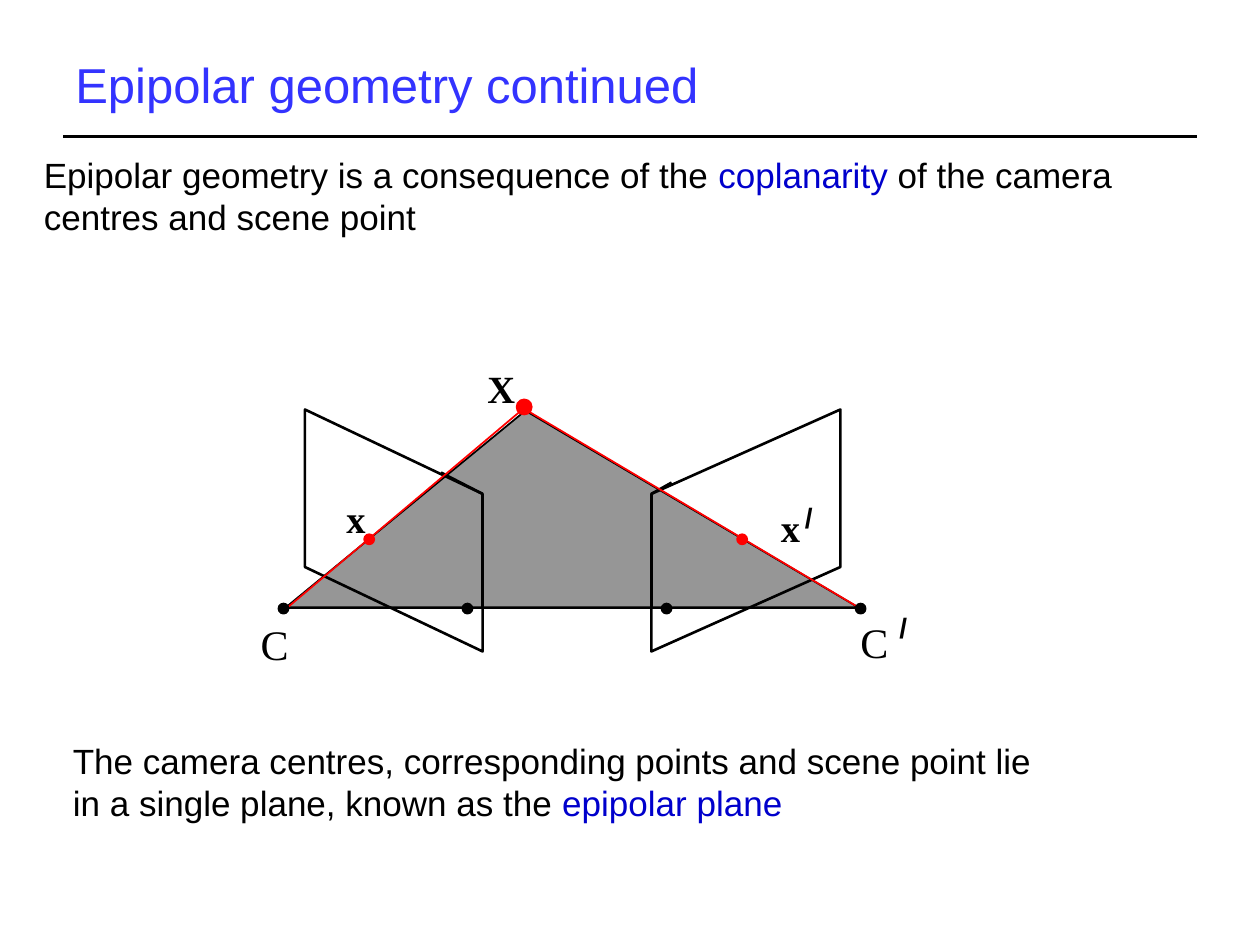
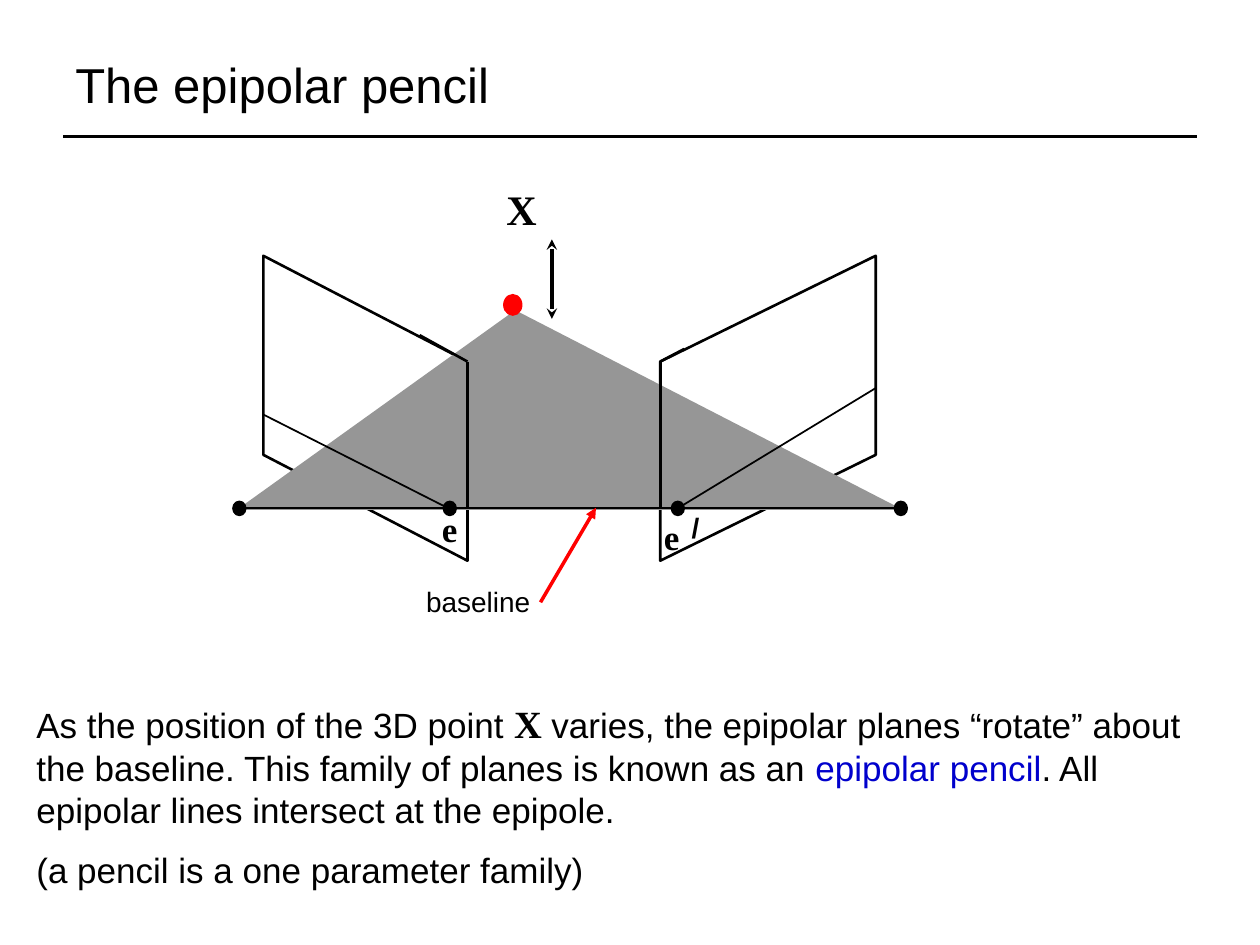
"""Builds two slides on epipolar geometry, placed on a grid of 100 columns by 75 rows."""
import dataclasses

import lxml.etree
import pptx
import pptx.dml.color
import pptx.enum.shapes
import pptx.enum.text
import pptx.oxml.ns
import pptx.util


@dataclasses.dataclass(frozen=True)
class Theme:
    black: str = "000000"
    grey: str = "969696"
    red: str = "FF0000"
    title_blue: str = "3333FF"
    term_blue: str = "0000CC"
    sans: str = "Arial"
    serif: str = "Times New Roman"
    title: int = 28
    body: int = 20
    small: int = 16
    epipole: int = 20
    point: int = 22
    centre: int = 24
    gap: int = 10
    thin: float = 1
    plane: float = 1.5
    rule: float = 1.75
    arrow: float = 2


theme = Theme()
title = {"name": theme.sans, "size": theme.title}
body = {"name": theme.sans, "size": theme.body}
term = {**body, "ink": theme.term_blue}
caption = {"name": theme.sans, "size": theme.small}
prime = {**caption, "bold": True}
camera = {"name": theme.serif, "size": theme.centre}
point = {"name": theme.serif, "size": theme.point, "bold": True}
big_point = {**point, "size": theme.centre}
epipole = {**point, "size": theme.epipole}

deck = pptx.Presentation()
deck.slide_width, deck.slide_height = pptx.util.Inches(10), pptx.util.Inches(7.5)
COLUMN, ROW = deck.slide_width / 100, deck.slide_height / 75
LEFT = pptx.enum.text.PP_ALIGN.LEFT
CENTER = pptx.enum.text.PP_ALIGN.CENTER
TOP = pptx.enum.text.MSO_ANCHOR.TOP
MIDDLE = pptx.enum.text.MSO_ANCHOR.MIDDLE


def place(*lengths):
    """Turn alternating columns and rows into slide units."""
    return [round(length * (ROW if index % 2 else COLUMN)) for index, length in enumerate(lengths)]


def write(page, at, paragraphs, align=LEFT, anchor=TOP):
    """Add a text box of paragraphs, each a list of (text, format) pairs."""
    box = page.shapes.add_textbox(*place(*at))
    for name, value in {"word_wrap": True, "vertical_anchor": anchor}.items():
        setattr(box.text_frame, name, value)
    for index, spans in enumerate(paragraphs):
        para = box.text_frame.add_paragraph() if index else box.text_frame.paragraphs[0]
        para.alignment = align
        para.space_before = pptx.util.Pt(theme.gap if index else 0)
        for text, look in spans:
            span = para.add_run()
            span.text = text
            values = {"name": look["name"], "size": pptx.util.Pt(look["size"]), "bold": look.get("bold", False)}
            for name, value in values.items():
                setattr(span.font, name, value)
            span.font.color.rgb = pptx.dml.color.RGBColor.from_string(look.get("ink", theme.black))


scenes = [
    {
        "title": ("Epipolar geometry continued", theme.title_blue),
        "triangle": ([(22.7, 48.2), (68.1, 48.2), (41.7, 32.6)], theme.black),
        "triangle_first": True,
        "planes": [(24.2, 38.3, 32.5, 39.2, 12.5, (35, 37.5)),
                   (66.7, 51.7, 32.5, 39.2, 12.5, (53.3, 38.3))],
        "baseline": (22.5, 68.3, 48.3),
        "dots": [(x, 48.3, 0.8, 0.8, theme.black) for x in (22.5, 37.1, 52.9, 68.3)]
                + [(x, 42.8, 0.8, 0.8, theme.red) for x in (29.3, 58.9)]
                + [(41.6, 32.3, 1.2, 1.2, theme.red)],
        "lines": [(41.7, 32.5, 68.3, 48.3, theme.red, theme.thin, {}),
                  (41.7, 32.3, 22.6, 48.4, theme.red, theme.thin, {})],
        "texts": [
            ((2.5, 11.7, 90, 10.8), [[
                ("Epipolar geometry is a consequence of the ", body), ("coplanarity ", term),
                ("of the camera centres and scene point", body)]]),
            ((26.5, 38.8, 3.3, 4.7), [[("x", point)]]),
            ((61, 39.5, 3.3, 4.7), [[("x", point)]]),
            ((62.9, 39.2, 5.8, 3.7), [[("/", prime)]]),
            ((37.7, 28.5, 4, 4.7), [[("X", point)]]),
            ((19.7, 48.6, 4.9, 5), [[("C", camera)]]),
            ((67.3, 48.4, 4.9, 5), [[("C", camera)]]),
            ((70.4, 48, 5.8, 3.7), [[("/", prime)]]),
            ((4.8, 58.2, 78.9, 7.7), [[
                ("The camera centres, corresponding points and scene point lie in a single plane, known as the ", body),
                ("epipolar plane", term)]]),
        ],
    },
    {
        "title": ("The epipolar pencil", theme.black),
        "triangle": ([(19, 40.4), (71.4, 40.4), (40.9, 24.7)], theme.grey),
        "triangle_first": False,
        "planes": [(20.9, 37.1, 20.3, 28.7, 15.8, (33.3, 26.6)),
                   (69.5, 52.4, 20.3, 28.7, 15.8, (54.3, 27.7))],
        "baseline": (19, 71.4, 40.3),
        "dots": [(x, 40.35, 1, 1.1, theme.black) for x in (19, 35.7, 53.8, 71.5)]
                + [(40.7, 24.2, 1.4, 1.6, theme.red)],
        "lines": [(35.7, 40.4, 20.9, 32.9, theme.black, theme.thin, {}),
                  (53.7, 40.4, 69.5, 30.8, theme.black, theme.thin, {}),
                  (43.8, 19, 43.8, 25.3, theme.black, theme.arrow, {"headEnd": "stealth", "tailEnd": "stealth"}),
                  (42.9, 47.8, 47.3, 40.3, theme.red, theme.arrow, {"tailEnd": "triangle"})],
        "texts": [
            ((34.1, 39.8, 4.6, 4.3), [[("e", epipole)]]),
            ((51.7, 40.4, 3.9, 4.3), [[("e", epipole)]]),
            ((53.9, 40, 6.8, 3.7), [[("/", prime)]]),
            ((32, 45.9, 11.9, 3.7), [[("baseline", caption)]], CENTER),
            ((39.2, 14.1, 4, 5), [[("X", big_point)]]),
            ((1.9, 55.1, 96.2, 16.3), [
                [("As the position of the 3D point ", body), ("X", point),
                 (" varies, the epipolar planes “rotate” about the baseline. "
                  "This family of planes is known as an ", body),
                 ("epipolar pencil", term), (". All epipolar lines intersect at the epipole.", body)],
                [("(a pencil is a one parameter family)", body)]]),
        ],
    },
]

for scene in scenes:
    page = deck.slides.add_slide(deck.slide_layouts[6])
    heading, heading_ink = scene["title"]
    write(page, (5, 1.7, 90, 10), [[(heading, {**title, "ink": heading_ink})]], anchor=MIDDLE)

    corners, edge = scene["triangle"]
    triangle = (corners, theme.grey, edge, theme.thin)
    planes = [([(outer, top), (outer, top + height), (inner, drop + height), (inner, drop)],
               None, theme.black, theme.plane)
              for outer, inner, top, drop, height, stub in scene["planes"]]
    areas = [triangle, *planes] if scene["triangle_first"] else [*planes, triangle]
    for corners, fill, ink, weight in areas:
        spots = [place(*corner) for corner in corners]
        builder = page.shapes.build_freeform(*spots[0])
        builder.add_line_segments(spots[1:], close=True)
        area = builder.convert_to_shape()
        area.shadow.inherit = False
        if fill:
            area.fill.solid()
            area.fill.fore_color.rgb = pptx.dml.color.RGBColor.from_string(fill)
        else:
            area.fill.background()
        area.line.color.rgb = pptx.dml.color.RGBColor.from_string(ink)
        area.line.width = pptx.util.Pt(weight)

    start, end, level = scene["baseline"]
    lines = [(5, 10.8, 95, 10.8, theme.black, theme.rule, {}),
             (start, level, end, level, theme.black, theme.thin, {})]
    for outer, inner, top, drop, height, stub in scene["planes"]:
        for target in ((inner, level), stub):
            lines.append((inner, drop, *target, theme.black, theme.plane, {}))
    for *ends, ink, weight, arrowheads in lines + scene["lines"]:
        line = page.shapes.add_connector(pptx.enum.shapes.MSO_CONNECTOR.STRAIGHT, *place(*ends))
        line.line.color.rgb = pptx.dml.color.RGBColor.from_string(ink)
        line.line.width = pptx.util.Pt(weight)
        properties = line.element.spPr
        outline = properties.find(pptx.oxml.ns.qn("a:ln"))
        for tag, kind in arrowheads.items():
            lxml.etree.SubElement(outline, pptx.oxml.ns.qn(f"a:{tag}"), type=kind)
        lxml.etree.SubElement(properties, pptx.oxml.ns.qn("a:effectLst"))

    for x, y, width, height, ink in scene["dots"]:
        dot = page.shapes.add_shape(pptx.enum.shapes.MSO_SHAPE.OVAL,
                                    *place(x - width / 2, y - height / 2, width, height))
        dot.shadow.inherit = False
        dot.fill.solid()
        for colour in (dot.fill.fore_color, dot.line.color):
            colour.rgb = pptx.dml.color.RGBColor.from_string(ink)
        dot.line.width = pptx.util.Pt(theme.thin)

    for text in scene["texts"]:
        write(page, *text)

deck.save("out.pptx")
